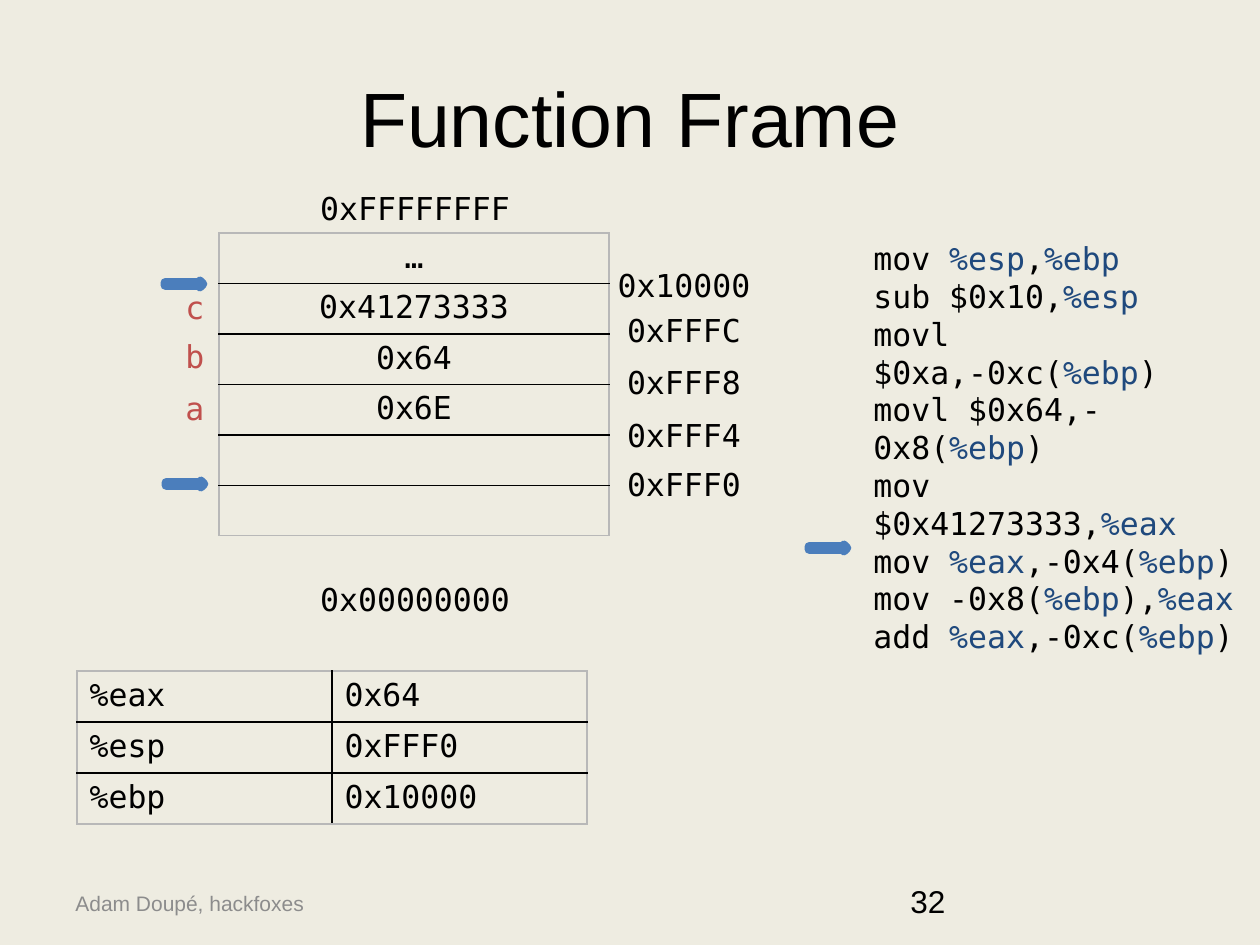
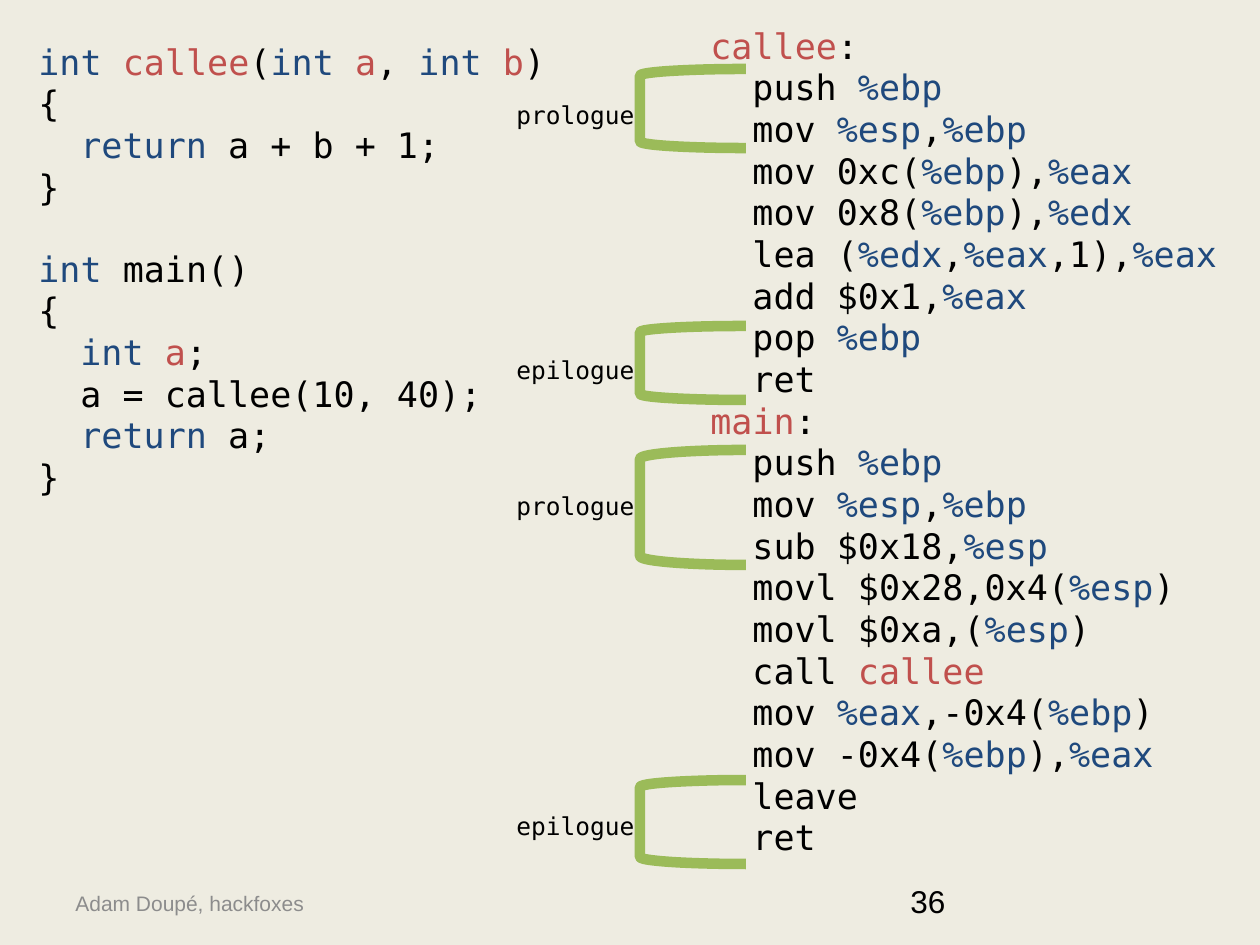
from lxml import etree
from pptx import Presentation
from pptx.dml.color import RGBColor
from pptx.enum.shapes import MSO_SHAPE
from pptx.enum.text import MSO_ANCHOR, PP_ALIGN
from pptx.oxml.ns import qn
from pptx.util import Pt

LEFT, CENTER = PP_ALIGN.LEFT, PP_ALIGN.CENTER
TOP, MIDDLE = MSO_ANCHOR.TOP, MSO_ANCHOR.MIDDLE
ARROW, BRACKET = MSO_SHAPE.RIGHT_ARROW, MSO_SHAPE.LEFT_BRACKET

PX = 7257  # EMU per px at 126 px to the inch
SANS, MONO = "Arial", "DejaVu Sans Mono"
BACKGROUND, BLACK, GREY, FRAME = "EEECE1", "000000", "8C8C8C", "B8B8B8"
BLUE, RED, GREEN, ARROW_BLUE = "1F497D", "C0504D", "9BBB59", "4B7EBC"
NAMES = {"callee", "main", "a", "b"}
INDENT = 42
LISTING = dict(size=20, spacing=0.8, before=4.6)

FRAME_CODE = """mov |%esp|,|%ebp|
sub $0x10,|%esp|
movl $0xa,-0xc(|%ebp|)
movl $0x64,-0x8(|%ebp|)
mov $0x41273333,|%eax|
mov |%eax|,-0x4(|%ebp|)
mov -0x8(|%ebp|),|%eax|
add |%eax|,-0xc(|%ebp|)"""

C_CODE = """|int| |callee|(|int| |a|, |int| |b|)
{
  |return| a + b + 1;
}

|int| main()
{
  |int| |a|;
  a = callee(10, 40);
  |return| a;
}"""

ASSEMBLY = """|callee|:
  push |%ebp|
  mov |%esp|,|%ebp|
  mov 0xc(|%ebp|),|%eax|
  mov 0x8(|%ebp|),|%edx|
  lea (|%edx|,|%eax|,1),|%eax|
  add $0x1,|%eax|
  pop |%ebp|
  ret
|main|:
  push |%ebp|
  mov |%esp|,|%ebp|
  sub $0x18,|%esp|
  movl $0x28,0x4(|%esp|)
  movl $0xa,(|%esp|)
  call |callee|
  mov |%eax|,-0x4(|%ebp|)
  mov -0x4(|%ebp|),|%eax|
  leave
  ret"""


def write(frame, text, size=18, font=MONO, color=BLACK, align=LEFT, spacing=1.0, before=0):
    """Write lines; |marked| names turn red and other marked words blue.

    Leading spaces become an indent, an empty line a wider gap.
    """
    paragraph, gap = frame.paragraphs[0], before
    for line in text.split("\n"):
        if not line:
            gap += size * 1.16 * spacing + before
            continue
        if paragraph.runs:
            paragraph = frame.add_paragraph()
        paragraph.alignment = align
        paragraph.line_spacing = spacing
        paragraph.space_before = Pt(gap)
        gap = before
        if line.startswith("  "):
            paragraph._p.get_or_add_pPr().set("marL", str(INDENT * PX))
        for position, part in enumerate(line.strip().split("|")):
            if part:
                run = paragraph.add_run()
                run.text = part
                run.font.name, run.font.size = font, Pt(size)
                marked = RED if part in NAMES else BLUE
                run.font.color.rgb = RGBColor.from_string(marked if position % 2 else color)


def label(shapes, box, text, anchor=TOP, **text_format):
    frame = shapes.add_textbox(*(v * PX for v in box)).text_frame
    frame.word_wrap = True
    frame.vertical_anchor = anchor
    write(frame, text, **text_format)


prs = Presentation()
prs.slide_width, prs.slide_height = 1260 * PX, 945 * PX
master_fill = prs.slide_master.background.fill
master_fill.solid()
master_fill.fore_color.rgb = RGBColor.from_string(BACKGROUND)

pages = []
for number in ("32", "36"):
    shapes = prs.slides.add_slide(prs.slide_layouts[6]).shapes
    label(shapes, (63, 878, 537, 50), "Adam Doupé, hackfoxes", MIDDLE,
          size=12, font=SANS, color=GREY)
    label(shapes, (898, 876, 294, 50), number, font=SANS)
    pages.append(shapes)
frame_page, code_page = pages

# Function frame: stack, registers and code
label(frame_page, (63, 38, 1134, 157), "Function Frame", MIDDLE,
      size=44, font=SANS, align=CENTER)

stack = [["…"], ["0x41273333"], ["0x64"], ["0x6E"], [""], [""]]
registers = [["%eax", "0x64"], ["%esp", "0xFFF0"], ["%ebp", "0x10000"]]
for rows, left, top, column_width, row_height, align in (
        (stack, 219, 233, 390, 49, CENTER),
        (registers, 77, 671, 255, 51, LEFT)):
    height, width = len(rows), len(rows[0])
    table = frame_page.add_table(height, width, left * PX, top * PX,
                                 width * column_width * PX, height * row_height * PX).table
    table.first_row = table.horz_banding = False
    for r, row in enumerate(rows):
        table.rows[r].height = row_height * PX
        for c, value in enumerate(row):
            cell = table.cell(r, c)
            write(cell.text_frame, value, align=align)
            properties = cell._tc.get_or_add_tcPr()
            for side, is_outer in (("lnL", c == 0), ("lnR", c == width - 1),
                                   ("lnT", r == 0), ("lnB", r == height - 1)):
                border = etree.SubElement(properties, qn("a:" + side), w=str(Pt(1)))
                solid = etree.SubElement(border, qn("a:solidFill"))
                etree.SubElement(solid, qn("a:srgbClr"), val=FRAME if is_outer else BLACK)
            cell.fill.background()

for address, left, top in (("0xFFFFFFFF", 270, 183), ("0x00000000", 270, 574),
                           ("0x10000", 539, 260), ("0xFFFC", 539, 305),
                           ("0xFFF8", 539, 357), ("0xFFF4", 539, 410),
                           ("0xFFF0", 539, 459)):
    label(frame_page, (left, top, 290, 50), address, align=CENTER)

for variable, top in (("c", 282), ("b", 331), ("a", 383)):
    label(frame_page, (50, top, 290, 50), variable, color=RED, align=CENTER)

label(frame_page, (861, 233, 399, 318), FRAME_CODE)

for left, top in ((809, 545), (166, 481), (165, 281)):
    pointer = frame_page.add_shape(ARROW, left * PX, top * PX, 38 * PX, 6 * PX)
    pointer.shadow.inherit = False
    pointer.fill.gradient()
    pointer.fill.gradient_angle = 90
    for stop, shade in zip(pointer.fill.gradient_stops, ("3F80CE", "A4C4FF")):
        stop.color.rgb = RGBColor.from_string(shade)
    pointer.line.color.rgb = RGBColor.from_string(ARROW_BLUE)
    pointer.line.width = Pt(5)

# Caller and callee: source, assembly and its phases
label(code_page, (26, 42, 583, 624), C_CODE, **LISTING)
label(code_page, (698, 26, 562, 919), ASSEMBLY, **LISTING)

for phase, top, height, label_top in (("prologue", 69, 79, 94), ("epilogue", 326, 74, 349),
                                      ("prologue", 450, 115, 485), ("epilogue", 780, 84, 805)):
    group = code_page.add_group_shape().shapes
    bracket = group.add_shape(BRACKET, 640 * PX, top * PX, 106 * PX, height * PX)
    bracket.shadow.inherit = False
    bracket.fill.background()
    bracket.line.color.rgb = RGBColor.from_string(GREEN)
    bracket.line.width = Pt(6)
    label(group, (504, label_top, 189, 45), phase, size=14)

prs.save("out.pptx")
